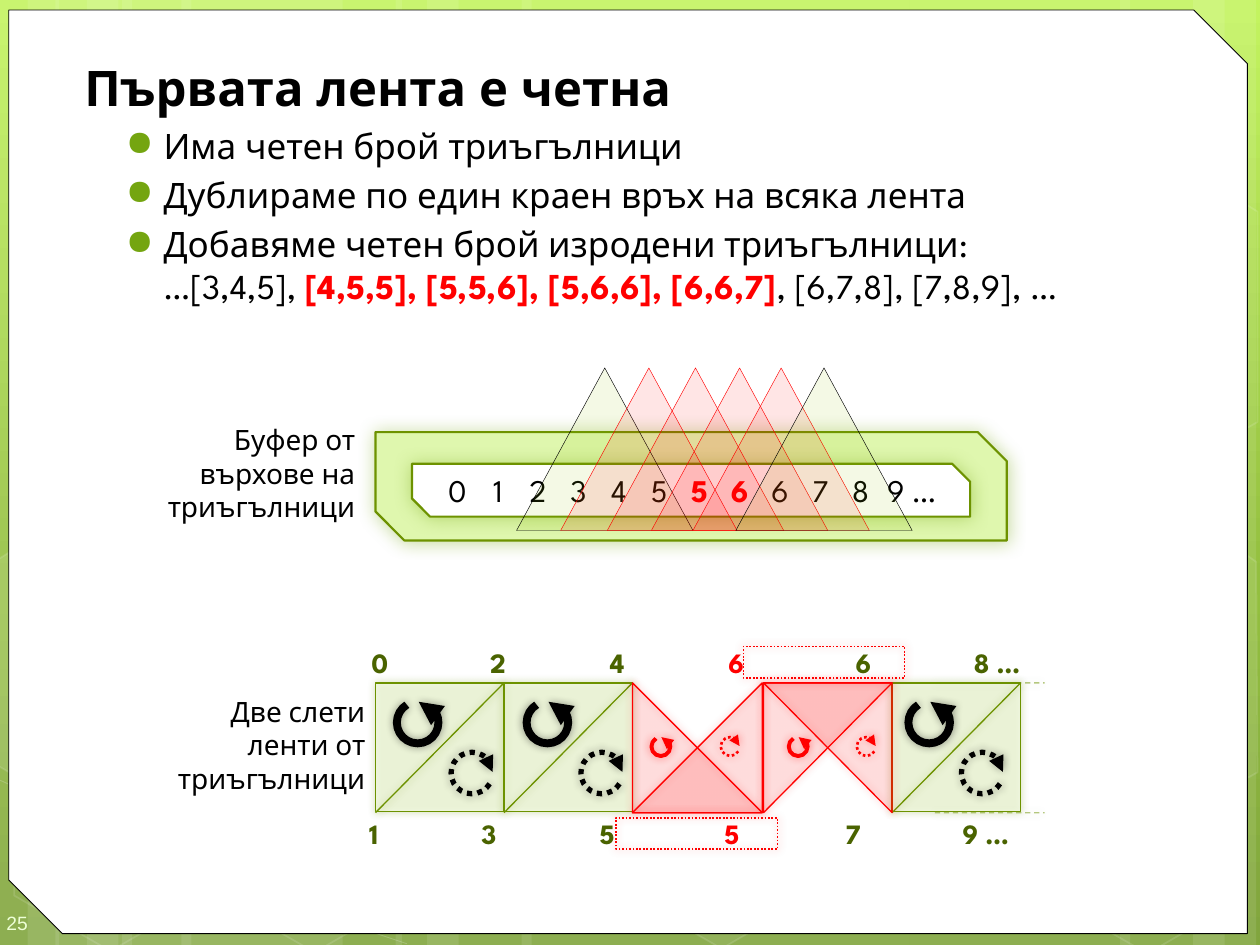
from lxml import etree
from pptx import Presentation, util as u
from pptx.dml.color import RGBColor
from pptx.enum import shapes, text
from pptx.enum.dml import MSO_LINE
from pptx.oxml.ns import qn

COLORS = {
    "white": "FFFFFF", "black": "000000", "red": "FF0000", "lime": "94C600",
    "pale": "F4FCE4", "buffer": "DFF7AE", "olive": "6D9200", "glow": "6F9400",
    "bullet": "74A510", "label": "4A6300", "number": "EEFFD6",
}
FONT = "League Spartan"
KIND = shapes.MSO_SHAPE
BACKGROUND_STOPS = [(0, "C3F35F"), (62, "93BF3F"), (100, "81A53E")]
BANDS = [(0.97, 1.75), (-0.03, 0.5), (0.22, 0.83), (1.44, 1.75), (0.44, 0.5), (0.69, 0.83),
         (7.22, 1.75), (9.47, 0.5), (8.89, 0.83), (4.14, 3.08), (3.14, 0.5), (3.39, 0.83)]
HEXAGONS = [(4.85, 5.89, 6), (0, 5.91, 0), (1.62, 5.92, 0), (8.23, 5.93, 0)]
EDGE_HEXAGONS = [
    ([(-0.03, 4.45), (0.08, 4.38), (0.85, 4.82), (0.84, 5.7), (0.09, 6.14), (-0.03, 6.07)], 10),
    ([(9.15, 4.85), (9.9, 4.41), (9.97, 4.46), (9.98, 6.13), (9.91, 6.17), (9.14, 5.73)], 4),
    ([(9.15, 2.07), (9.9, 1.63), (9.98, 1.68), (9.98, 3.35), (9.91, 3.39), (9.14, 2.95)], 0),
]

TITLE = "Първата лента е четна"
BULLETS = [
    [("Има четен брой триъгълници", {})],
    [("Дублираме по един краен връх на всяка лента", {})],
    [("Добавяме четен брой изродени триъгълници:", {}), ("\n", {}), ("…[3,4,5], ", {}),
     ("[4,5,5], [5,5,6], [5,6,6], [6,6,7]", {"color": "red", "bold": True}),
     (", [6,7,8], [7,8,9], …", {})],
]
CAPTIONS = [("Буфер от върхове на триъгълници", (1.17, 3.35, 1.65, 0.81)),
            ("Две слети ленти от триъгълници", (1.25, 5.42, 1.65, 0.98))]
VERTEX_LABELS = [
    (["0", "2", "4", "6", "6", "8 …"], 3, (2.95, 5.06, 5.89, 0.39), [0.94, 1.89, 2.83, 3.84, 4.78]),
    (["1", "3", "5", "5", "7", "9 …"], 3, (2.93, 6.4, 5.73, 0.43), [0.89, 1.83, 2.82, 3.78, 4.71]),
]
BUFFER = ["0", "1", "2", "3", "4", "5", "5", "6", "6", "7", "8", "9 …"]
BUFFER_REPEATED = (6, 7)
WINDOWS = [(4.1, "lime"), (4.45, "red"), (4.82, "red"), (5.17, "red"), (5.5, "red"), (5.84, "lime")]

CELL = 1.02
TOP, BOTTOM = 5.42, 6.45
GREEN_CELLS = [2.98, 4, 7.08]
RED_TRIANGLES = [
    [(5.02, TOP), (6.05, BOTTOM), (5.02, BOTTOM)],
    [(7.08, BOTTOM), (6.06, TOP), (7.08, TOP)],
    [(5.02, BOTTOM), (6.05, TOP), (6.05, BOTTOM)],
    [(7.08, TOP), (6.06, BOTTOM), (6.06, TOP)],
]
SOLID_TURN = {"rotation": 90, "flips": ["flipV"], "dash": None}
BLACK_DOTTED_TURN = {"rotation": 180, "flips": [], "dash": MSO_LINE.ROUND_DOT}
RED_DOTTED_TURN = {"rotation": 0, "flips": ["flipH", "flipV"], "dash": MSO_LINE.ROUND_DOT}
TURNS = [
    ([3.15, 4.18, 7.21], 5.57, 0.33, "black", 4.5, SOLID_TURN),
    ([3.58, 4.61, 7.63], 5.97, 0.33, "black", 3, BLACK_DOTTED_TURN),
    ([5.17, 6.26], 5.85, 0.15, "red", 2.25, SOLID_TURN),
    ([5.72, 6.8], 5.85, 0.15, "red", 1.5, RED_DOTTED_TURN),
]
REPEAT_FRAMES = [(4.89, 6.49, 1.28, 0.25), (5.9, 5.13, 1.28, 0.25)]

presentation = Presentation()
presentation.slide_width, presentation.slide_height = u.Inches(10), u.Inches(7.5)
slide = presentation.slides.add_slide(presentation.slide_layouts[5])


def add_node(parent, tag, **attributes):
    return etree.SubElement(parent, qn(tag), {key: str(value) for key, value in attributes.items()})


def rgb(name):
    return RGBColor.from_string(COLORS[name])


def set_alpha(parent, percent):
    if percent < 100:
        add_node(parent.find(qn("a:solidFill"))[0], "a:alpha", val=percent * 1000)


def paint(shape, fill=None, alpha=100, line=None, width=0.75, line_alpha=100, dash=None,
          glow=None, blur=5, distance=0, angle=0, arrow=False):
    properties = shape._element.spPr
    if fill:
        shape.fill.solid()
        shape.fill.fore_color.rgb = rgb(fill)
        set_alpha(properties, alpha)
    elif hasattr(shape, "fill"):
        shape.fill.background()
    if line:
        shape.line.color.rgb = rgb(line)
        shape.line.width = u.Pt(width)
        outline = properties.find(qn("a:ln"))
        set_alpha(outline, line_alpha)
        if dash:
            shape.line.dash_style = dash
        if arrow:
            add_node(outline, "a:tailEnd", type="triangle")
    else:
        shape.line.fill.background()
    effects = add_node(properties, "a:effectLst")
    if glow:
        shadow = add_node(effects, "a:outerShdw", blurRad=u.Pt(blur), dist=u.Pt(distance),
                          dir=angle * 60000, algn="ctr", rotWithShape=0)
        add_node(add_node(shadow, "a:srgbClr", val=COLORS[glow]), "a:alpha", val=40000)
    return shape


def add_preset(kind, box, adjustments=(), rotation=0, **look):
    shape = slide.shapes.add_shape(kind, *map(u.Inches, box))
    for index, value in enumerate(adjustments):
        shape.adjustments[index] = value
    shape.rotation = rotation
    return paint(shape, **look)


def add_outline(points, closed=True, **look):
    start, *rest = [tuple(map(u.Inches, point)) for point in points]
    builder = slide.shapes.build_freeform(*start, scale=1)
    builder.add_line_segments(rest, close=closed)
    return paint(builder.convert_to_shape(), **look)


def add_line(start, end, **look):
    connector = slide.shapes.add_connector(shapes.MSO_CONNECTOR.STRAIGHT, *map(u.Inches, start + end))
    return paint(connector, **look)


def set_frame(shape, insets=(0, 0.05, 0, 0.05), anchor=text.MSO_ANCHOR.MIDDLE):
    frame = shape.text_frame
    sides = dict(zip(("margin_left", "margin_top", "margin_right", "margin_bottom"), map(u.Inches, insets)))
    for name, value in {**sides, "word_wrap": True, "vertical_anchor": anchor,
                        "auto_size": text.MSO_AUTO_SIZE.NONE}.items():
        setattr(frame, name, value)
    return frame


def add_text(box, **frame_format):
    return set_frame(slide.shapes.add_textbox(*map(u.Inches, box)), **frame_format)


def write(paragraph, runs, size, color="black", bold=False, name=FONT, align=text.PP_ALIGN.LEFT):
    paragraph.alignment = align
    for words, changes in runs:
        if words == "\n":
            paragraph.add_line_break()
            continue
        run = paragraph.add_run()
        run.text = words
        look = {"color": color, "bold": bold, **changes}
        for key, value in {"name": name, "size": u.Pt(size), "bold": look["bold"]}.items():
            setattr(run.font, key, value)
        run.font.color.rgb = rgb(look["color"])


def add_tabs(paragraph, stops):
    tabs = add_node(paragraph._p.get_or_add_pPr(), "a:tabLst")
    for position, align in stops:
        add_node(tabs, "a:tab", pos=u.Inches(position), algn=align)


background = slide.background.fill
background.gradient()
background.gradient_angle = 270
stops = slide.background._cSld.find(".//" + qn("a:gsLst"))
for stop in list(stops):
    stops.remove(stop)
for position, color in BACKGROUND_STOPS:
    add_node(add_node(stops, "a:gs", pos=position * 1000), "a:srgbClr", val=color)

for left, width in BANDS:
    add_preset(KIND.RECTANGLE, (left, 0, width, 7.5), fill="white", alpha=10)
faint = {"line": "white", "width": 1, "line_alpha": 12}
add_outline([(-0.05, 6.17), (1.16, 6.71), (2.3, 7.18), (3.23, 7.49)], closed=False,
            line="white", width=0.5, line_alpha=20)
for left, top, alpha in HEXAGONS:
    add_preset(KIND.HEXAGON, (left, top, 1.75, 1.52), (0.285, 1.155), 30,
               fill="white" if alpha else None, alpha=alpha, **faint)
for points, alpha in EDGE_HEXAGONS:
    add_outline(points, fill="white" if alpha else None, alpha=alpha, **faint)
add_preset(KIND.SNIP_2_DIAG_RECTANGLE, (0.07, 0.08, 9.83, 7.33), (0, 0.058),
           fill="white", line="black", width=0.5)
number = add_text((0, 7.1, 0.58, 0.4), insets=(0.05, 0.15, 0, 0.1))
write(number.paragraphs[0], [("25", {})], 11, "number", name="Arial")

title = slide.shapes.title
slide.shapes._spTree.append(title._element)
for key, value in zip(("left", "top", "width", "height"), (0.57, 0.41, 9.35, 0.53)):
    setattr(title, key, u.Inches(value))
frame = set_frame(title, (0.1, 0.05, 0.1, 0), text.MSO_ANCHOR.TOP)
write(frame.paragraphs[0], [(TITLE, {})], 28, bold=True)

frame = add_text((0.5, 0.94, 9.42, 1.7), insets=(0.1, 0.05, 0.1, 0.05), anchor=text.MSO_ANCHOR.TOP)
for index, runs in enumerate(BULLETS):
    paragraph = frame.add_paragraph() if index else frame.paragraphs[0]
    properties = paragraph._p.get_or_add_pPr()
    properties.set("marL", str(u.Inches(0.7)))
    properties.set("indent", str(u.Inches(-0.3)))
    add_node(add_node(properties, "a:buClr"), "a:srgbClr", val=COLORS["bullet"])
    add_node(properties, "a:buChar", char="●")
    if index:
        paragraph.space_before = u.Pt(4)
    write(paragraph, runs, 20)

green = {"line": "olive", "glow": "glow"}
for left in GREEN_CELLS:
    add_preset(KIND.RECTANGLE, (left, TOP, CELL, CELL), fill="pale", alpha=60, **green)
    add_line((left, BOTTOM), (left + CELL, TOP), **green)
for y in (BOTTOM, TOP):
    add_line((7.42, y), (8.29, y), line_alpha=50, dash=MSO_LINE.DASH, **green)

for labels, repeated, box, positions in VERTEX_LABELS:
    paragraph = add_text(box).paragraphs[0]
    add_tabs(paragraph, [(position, "l") for position in positions])
    write(paragraph, [("\t" * (index > 0) + label, {"color": "red"} if index == repeated else {})
                      for index, label in enumerate(labels)], 16, "label", True)

rim = {"line": "olive", "width": 1.25, "glow": "bullet", "blur": 10, "angle": 45}
add_preset(KIND.SNIP_2_DIAG_RECTANGLE, (2.98, 3.43, 5.01, 0.86), (0, 0.267), fill="buffer", **rim)
buffer = add_preset(KIND.SNIP_2_DIAG_RECTANGLE, (3.27, 3.68, 4.43, 0.42), (0, 0.342), fill="white", **rim)
paragraph = set_frame(buffer).paragraphs[0]
add_tabs(paragraph, [(0.29 + 0.32 * index, "ctr") for index in range(len(BUFFER) - 1)] + [(3.7, "l")])
write(paragraph, [("\t" + label, {"color": "red", "bold": True} if index in BUFFER_REPEATED else {})
                  for index, label in enumerate(BUFFER)], 18)

for left, color in WINDOWS:
    add_preset(KIND.ISOSCELES_TRIANGLE, (left, 2.92, 1.4, 1.29), fill=color, alpha=10,
               line="red" if color == "red" else "black", width=0.25)
for caption, box in CAPTIONS:
    write(add_text(box).paragraphs[0], [(caption, {})], 16, align=text.PP_ALIGN.RIGHT)

for points in RED_TRIANGLES:
    add_outline(points, fill="red", alpha=10, line="red", glow="red")
for lefts, top, size, color, width, turn in TURNS:
    for left in lefts:
        arc = add_preset(KIND.ARC, (left, top, size, size), (126.67, 106.14), turn["rotation"],
                         line=color, width=width, dash=turn["dash"], glow=color, arrow=True)
        for flip in turn["flips"]:
            arc._element.spPr.find(qn("a:xfrm")).set(flip, "1")
for box in REPEAT_FRAMES:
    add_preset(KIND.RECTANGLE, box, line="red", width=1, dash=MSO_LINE.ROUND_DOT, glow="red")

presentation.save("out.pptx")
